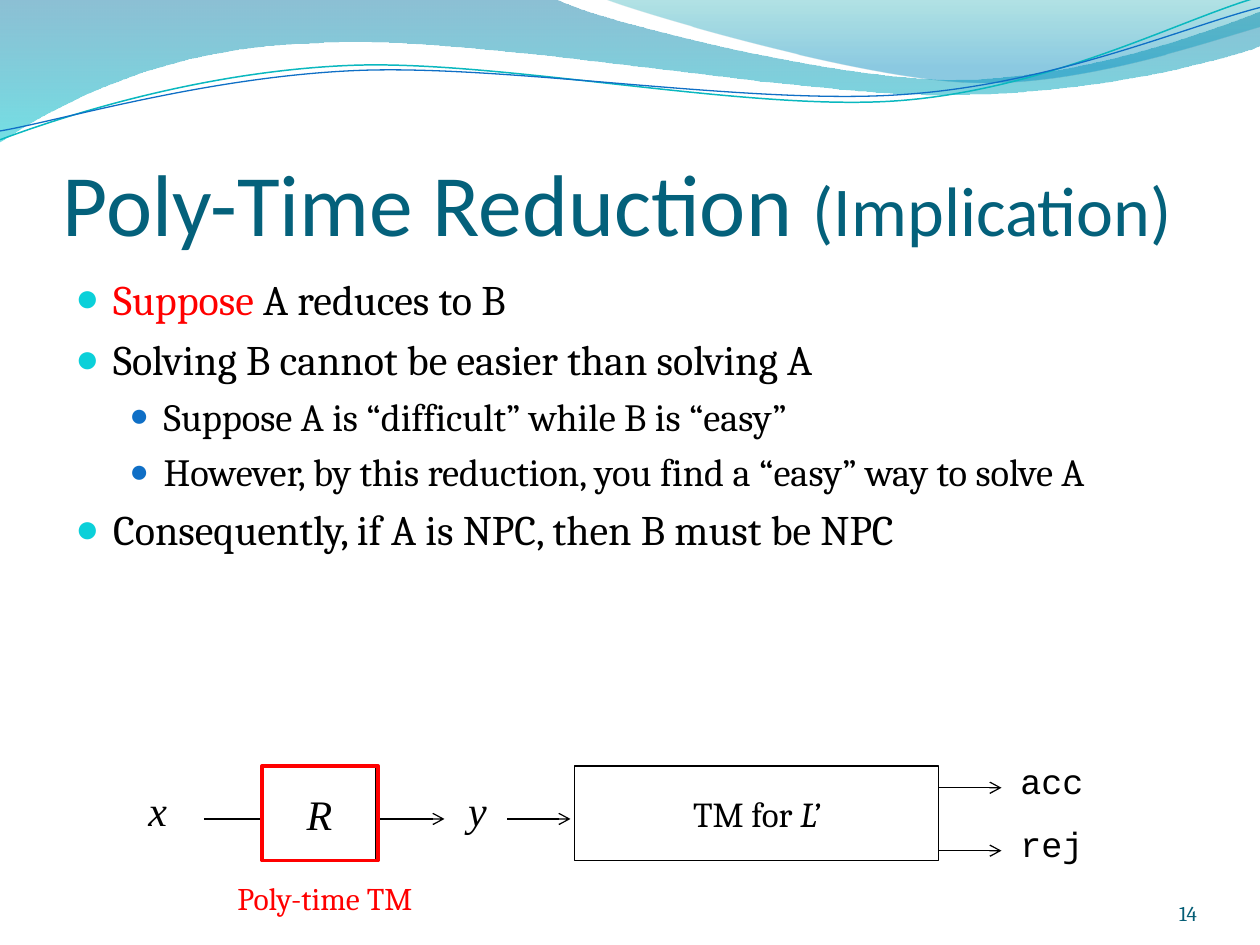
from dataclasses import dataclass
from math import cos, radians, sin

from lxml import etree
from pptx import Presentation
from pptx.dml.color import RGBColor
from pptx.enum.shapes import MSO_CONNECTOR, MSO_SHAPE
from pptx.enum.text import MSO_ANCHOR, PP_ALIGN
from pptx.oxml.ns import qn
from pptx.util import Cm, Pt

STRAIGHT = MSO_CONNECTOR.STRAIGHT
RECTANGLE = MSO_SHAPE.RECTANGLE
TOP, MIDDLE, BOTTOM = MSO_ANCHOR.TOP, MSO_ANCHOR.MIDDLE, MSO_ANCHOR.BOTTOM
LEFT, CENTER, RIGHT = PP_ALIGN.LEFT, PP_ALIGN.CENTER, PP_ALIGN.RIGHT


@dataclass(frozen=True)
class Theme:
    ink: str = "000000"
    paper: str = "FFFFFF"
    accent: str = "FF0000"
    title: str = "04617B"
    number: str = "045D75"
    bullets: tuple = ("0BD0D9", "0F6FC6")
    waves: tuple = ("0AB8BF", "0F6FC6")
    heading: str = "Calibri"
    body: str = "Cambria"
    symbol: str = "Times New Roman"
    code: str = "Courier New"
    title_size: int = 50
    subtitle_size: int = 40
    body_sizes: tuple = (24, 22)
    symbol_size: int = 24
    label_size: int = 20
    note_size: int = 18
    number_size: int = 12


THEME = Theme()
INSETS = (0.25, 0.13, 0.25, 0.13)


def rgb(code):
    return RGBColor.from_string(code)


def add_run(paragraph, text, size, font, color=THEME.ink, italic=None):
    run = paragraph.add_run()
    run.text = text
    run.font.size = Pt(size)
    run.font.name = font
    run.font.color.rgb = rgb(color)
    run.font.italic = italic


def set_frame(shape, insets=INSETS, anchor=TOP, wrap=True):
    frame = shape.text_frame
    frame.word_wrap = wrap
    frame.vertical_anchor = anchor
    (frame.margin_left, frame.margin_top,
     frame.margin_right, frame.margin_bottom) = map(Cm, insets)
    return frame


def add_text(slide, box, *runs, align=LEFT, **frame_format):
    """Each run is (text, format)."""
    label = slide.shapes.add_textbox(*map(Cm, box))
    paragraph = set_frame(label, **frame_format).paragraphs[0]
    paragraph.alignment = align
    for text, look in runs:
        add_run(paragraph, text, **look)


def add_box(slide, box, *runs, fill=THEME.paper, line=THEME.ink, width=0.75):
    block = slide.shapes.add_shape(RECTANGLE, *map(Cm, box))
    block.shadow.inherit = False
    if fill:
        block.fill.solid()
        block.fill.fore_color.rgb = rgb(fill)
    else:
        block.fill.background()
    block.line.color.rgb = rgb(line)
    block.line.width = Pt(width)
    paragraph = set_frame(block, anchor=MIDDLE).paragraphs[0]
    paragraph.alignment = CENTER
    for text, look in runs:
        add_run(paragraph, text, **look)


def add_arrow(slide, x1, x2, y):
    arrow = slide.shapes.add_connector(STRAIGHT, Cm(x1), Cm(y), Cm(x2), Cm(y))
    arrow.line.color.rgb = rgb(THEME.ink)
    arrow.line.width = Pt(0.75)
    etree.SubElement(arrow.line._get_or_add_ln(), qn("a:tailEnd"), type="arrow")
    etree.SubElement(arrow._element.spPr, qn("a:effectLst"))


def add_wave(slide, box, segments, stops=None, line=None, width=0.75, tilt=0):
    """Segments are in percent of the box width; stops are (position, colour, opacity)."""
    left, top, span = box
    turn, middle_x, middle_y = radians(-tilt), 50, 5.8

    def place(x, y):
        dx, dy = x - middle_x, y - middle_y
        x = middle_x + dx * cos(turn) - dy * sin(turn)
        y = middle_y + dx * sin(turn) + dy * cos(turn)
        return Cm(left + x * span / 100), Cm(top + y * span / 100)

    curves = [[place(*segment[i:i + 2]) for i in range(0, len(segment), 2)]
              for segment in segments]
    ends = [curve[-1] for curve in curves]
    builder = slide.shapes.build_freeform(*ends[0], scale=1.0)
    builder.add_line_segments(ends[1:], close=bool(stops))
    wave = builder.convert_to_shape()
    # Turn segments with control points into cubic curves
    for step, curve in zip(list(wave._element.spPr.iter(qn("a:lnTo"))), curves[1:]):
        if len(curve) == 3:
            step.tag = qn("a:cubicBezTo")
            for index, (x, y) in enumerate(curve[:2]):
                step.insert(index, etree.Element(
                    qn("a:pt"), x=str(x - wave.left), y=str(y - wave.top)))
    wave.rotation = tilt
    wave.shadow.inherit = False
    if line:
        wave.fill.background()
        wave.line.color.rgb = rgb(line)
        wave.line.width = Pt(width)
        return
    wave.line.fill.background()
    wave.fill.gradient()
    wave.fill.gradient_angle = 270
    for stop, (_, color, _) in zip(wave.fill.gradient_stops, stops):
        stop.color.rgb = rgb(color)
    for mark, (position, _, opacity) in zip(wave._element.spPr.iter(qn("a:gs")), stops):
        mark.set("pos", str(position * 1000))
        etree.SubElement(mark[0], qn("a:alpha"), val=str(opacity * 1000))


def draw_waves(slide, box):
    # Shaded bands
    add_wave(slide, box, [
        (-0.1, 0), (44, -0.1), (47.6, 1.7, 66.4, 6.3, 75.8, 6.3),
        (85.3, 6.3, 95.8, 2.6, 100, 0.9), (100.1, 3.6),
        (98.3, 4.4, 87, 7.6, 74.6, 7.5), (62.2, 7.5, 38.2, 2.8, 25.7, 3.4),
        (12.9, 3.6, 4.6, 8.3, -0.1, 11.3),
    ], stops=((0, "0074A1", 45), (100, "00C6CF", 55)))
    add_wave(slide, box, [
        (47.9, -0.1), (50.9, 1.1, 68.2, 6.2, 76.9, 6.5),
        (85.6, 6.9, 96.1, 3.2, 100, 2.1), (100, 0),
    ], stops=((0, "00A1A9", 30), (80, "008BBF", 45)))
    # Thin strands
    strands = (
        [(0, 11.1), (4.8, 9.3, 15.8, 5.7, 27.7, 5.2),
         (39.5, 4.7, 59.3, 8.9, 71.3, 8), (83.3, 7.1, 93.8, 1.5, 99.8, -0.2)],
        [(0, 10.4), (4.7, 9.6, 16.4, 6.1, 28.3, 5.6),
         (40.3, 5.1, 59.7, 8.4, 71.7, 7.5), (83.6, 6.7, 94.1, 2.1, 100, 0.6)],
    )
    for strand, color, width in zip(strands, THEME.waves, (0.85, 0.75)):
        add_wave(slide, box, strand, line=color, width=width, tilt=-2.7)


def write_title(slide, box, main, aside):
    look = dict(font=THEME.heading, color=THEME.title)
    add_text(slide, box, (main, dict(look, size=THEME.title_size)),
             (aside, dict(look, size=THEME.subtitle_size)),
             insets=(0, 0.13, 0, 0), anchor=BOTTOM)


def write_points(slide, box, points):
    """Each point is (level, (text, colour), ...)."""
    frame = set_frame(slide.shapes.add_textbox(*map(Cm, box)))
    for index, (level, *parts) in enumerate(points):
        paragraph = frame.add_paragraph() if index else frame.paragraphs[0]
        size = THEME.body_sizes[level]
        paragraph.level = level
        if index:
            paragraph.space_before = Pt(round(size * 0.234, 1))
        for text, color in parts:
            add_run(paragraph, text, size, THEME.body, color)
        # Bullet and hanging indent
        props = paragraph._p.get_or_add_pPr()
        props.set("marL", str(Cm((0.76, 1.78)[level])))
        props.set("indent", str(-Cm((0.76, 0.69)[level])))
        tint = etree.SubElement(props, qn("a:buClr"))
        etree.SubElement(tint, qn("a:srgbClr"), val=THEME.bullets[level])
        etree.SubElement(props, qn("a:buSzPct"), val=("95000", "85000")[level])
        etree.SubElement(props, qn("a:buFont"), typeface=THEME.symbol)
        etree.SubElement(props, qn("a:buChar"), char="●")


def draw_reduction(slide, origin):
    left, top = origin
    symbol = dict(size=THEME.symbol_size, font=THEME.symbol, italic=True)
    label = dict(size=THEME.label_size, font=THEME.body)
    code = dict(size=THEME.label_size, font=THEME.code)

    def place(x, y, width, height):
        return left + x, top + y, width, height

    # Input, reduced input and flow
    for name, x in (("x", 0), ("y", 6.45)):
        add_text(slide, place(x, 0.49, 1.14, 1.3), (name, symbol), wrap=False)
    for start, end, y in ((1.37, 6.22, 1.32), (7.49, 8.76, 1.32),
                          (16.18, 17.45, 0.69), (16.18, 17.45, 1.96)):
        add_arrow(slide, left + start, left + end, top + y)
    # Machines
    add_box(slide, place(2.57, 0.25, 2.26, 1.91), ("R", symbol))
    add_box(slide, place(8.84, 0.25, 7.34, 1.91),
            ("TM for ", label), ("L’", dict(label, italic=True)))
    # Verdicts
    for verdict, y in (("acc", 0), ("rej", 1.27)):
        add_text(slide, place(17.58, y, 1.8, 1.12), (verdict, code), wrap=False)
    # Highlight of the reduction
    add_box(slide, place(2.54, 0.25, 2.34, 1.91), fill=None, line=THEME.accent, width=2)
    add_text(slide, place(1.27, 2.41, 5.08, 1.02),
             ("Poly-time TM", dict(size=THEME.note_size, font=THEME.body, color=THEME.accent)),
             align=CENTER)


def write_number(slide, box, number):
    look = dict(size=THEME.number_size, font=THEME.body, color=THEME.number)
    add_text(slide, box, (number, look), align=RIGHT, insets=(0, 0, 0, 0), anchor=BOTTOM)


deck = Presentation()
deck.slide_width, deck.slide_height = Cm(25.4), Cm(19.05)
page = deck.slides.add_slide(deck.slide_layouts[6])
draw_waves(page, (0, 0, 25.4))
write_title(page, (1.27, 1.95, 22.86, 3.18), "Poly-Time Reduction ", "(Implication)")
write_points(page, (1.27, 5.38, 22.86, 12.19), (
    (0, ("Suppose", THEME.accent), (" A reduces to B", THEME.ink)),
    (0, ("Solving B cannot be easier than solving A", THEME.ink)),
    (1, ("Suppose A is “difficult” while B is “easy”", THEME.ink)),
    (1, ("However, by this reduction, you find a “easy” way to solve A", THEME.ink)),
    (0, ("Consequently, if A is NPC, then B must be NPC", THEME.ink)),
))
draw_reduction(page, (2.74, 15.19))
write_number(page, (22.02, 17.65, 2.11, 1.02), "14")
deck.save("out.pptx")
